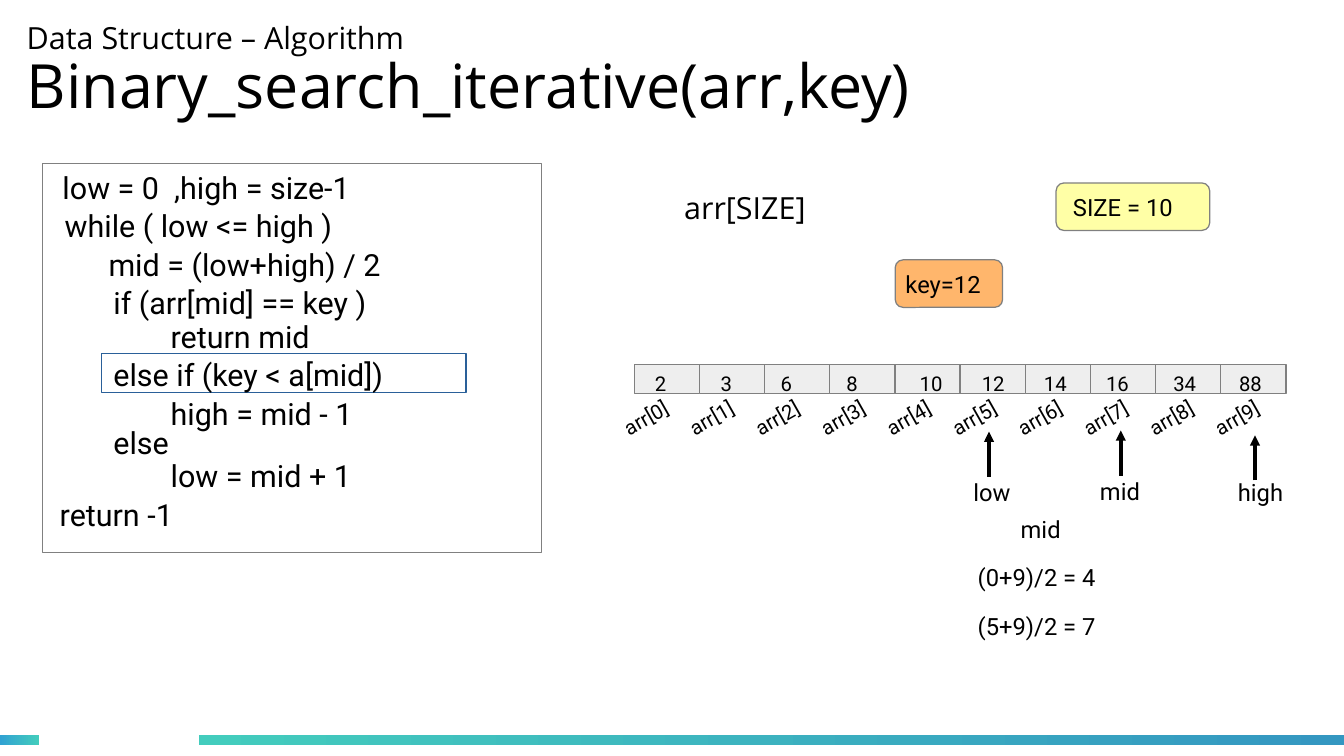
"""Build the slide that traces an iterative binary search."""
from lxml import etree
from pptx import Presentation
from pptx.dml.color import RGBColor
from pptx.enum.shapes import MSO_CONNECTOR, MSO_SHAPE as SHAPE
from pptx.enum.text import MSO_ANCHOR as ANCHOR, PP_ALIGN as ALIGN
from pptx.oxml.ns import qn
from pptx.util import Pt

rgb = RGBColor.from_string


def add_box(x, y, w, h, fill, line=None, kind=SHAPE.RECTANGLE):
    sp = s.shapes.add_shape(kind, Pt(x), Pt(y), Pt(w), Pt(h))
    sp.shadow.inherit = False
    if isinstance(fill, tuple):
        sp.fill.gradient()
        sp.fill.gradient_angle = 0
        for stop, color in zip(sp.fill.gradient_stops, fill):
            stop.color.rgb = rgb(color)
    else:
        sp.fill.solid()
        sp.fill.fore_color.rgb = rgb(fill)
    if line:
        sp.line.color.rgb = rgb(line)
        sp.line.width = Pt(0)
    else:
        sp.line.fill.background()
    return sp


def add_text(text, x=0, y=0, w=200, h=24, size=18, font="Roboto", align=ALIGN.LEFT,
             anchor=ANCHOR.TOP, sp=None, inset=0, spacing=None):
    sp = sp or s.shapes.add_textbox(Pt(x), Pt(y), Pt(w), Pt(h))
    tf = sp.text_frame
    tf.word_wrap = True
    tf.vertical_anchor = anchor
    tf.margin_left = Pt(inset)
    tf.margin_top = tf.margin_right = tf.margin_bottom = 0
    tf.text = text
    for p in tf.paragraphs:
        p.alignment = align
        p.line_spacing = spacing
        p.font.size = Pt(size)
        p.font.name = font
        p.font.color.rgb = rgb("000000")
    return sp


prs = Presentation()
prs.slide_width, prs.slide_height = Pt(793.44), Pt(446.4)
s = prs.slides.add_slide(prs.slide_layouts[6])

add_box(0, 434.2, 23, 5.8, ("30A2D2", "43CCBD"))
add_box(117.4, 434.2, 676, 5.8, ("43CCBD", "3497C1"))

title = add_text("Data Structure – Algorithm\nBinary_search_iterative(arr,key)",
                 15.8, 0, 749.5, 85.7, size=36, font="Open Sans",
                 anchor=ANCHOR.MIDDLE, spacing=0.9)
title.text_frame.paragraphs[0].font.size = Pt(18)

add_box(25.2, 96.5, 294.5, 229.7, "FFFFFF", "808080")
add_box(59.8, 208.8, 215.3, 23, "FFFFFF", "2A6099")
code = [
    ("low = 0  ,high = size-1", 36.9, 100.1),
    ("while ( low <= high )", 38.2, 122.4),
    ("mid = (low+high) / 2", 64.1, 145.4),
    ("if (arr[mid] == key )", 67, 167.8),
    ("return mid", 100.8, 187.9),
    ("else if (key < a[mid])", 67, 210.2),
    ("high = mid - 1", 100.8, 233.3),
    ("else", 67, 250.6),
    ("low = mid + 1", 100.8, 270),
    ("return -1", 35.3, 293),
]
for line, x, y in code:
    add_text(line, x, y)

add_text("arr[SIZE]", 403.9, 111.6, 100, font="Open Sans")
badges = [
    ("SIZE = 10", 623.5, 108, 90.7, "FFFFA6", 8.6),
    ("key=12", 528.5, 153.4, 63.4, "FFB66C", 4.7),
]
for label, x, y, w, fill, inset in badges:
    badge = add_box(x, y, w, 28.1, fill, "808080", SHAPE.ROUNDED_RECTANGLE)
    add_text(label, sp=badge, size=14, anchor=ANCHOR.MIDDLE, inset=inset)

cell_w = 38.48
values = [(2, 12.2), (3, 12.6), (6, 9.5), (8, 9.9), (10, 14.6),
          (12, 12.8), (14, 11), (16, 9.2), (34, 10.4), (88, 10.8)]
for i, (value, indent) in enumerate(values):
    x = 374.4 + i * cell_w
    cell = add_box(x, 215.3, cell_w, 17.3, "EEEEEE", "808080")
    add_text(str(value), sp=cell, size=12, inset=indent, anchor=ANCHOR.MIDDLE)
    cell.text_frame.margin_top = Pt(5)
    index = add_text(f"arr[{i}]", 356.2 + i * 38.77, 237, 50, 19, size=12,
                     align=ALIGN.CENTER, anchor=ANCHOR.MIDDLE)
    index.rotation = 330.4

pointers = [
    ("low", 574.6, 282.2, 583.9, 281.5),
    ("mid", 649.4, 281.5, 661.7, 280.8),
    ("high", 730.8, 282.2, 740.9, 283.7),
]
for label, x, y, arrow_x, arrow_y in pointers:
    add_text(label, x, y, 40, 18, size=14)
    arrow = s.shapes.add_connector(MSO_CONNECTOR.STRAIGHT, Pt(arrow_x), Pt(arrow_y),
                                   Pt(arrow_x), Pt(arrow_y - 26.6))
    arrow.line.color.rgb = rgb("000000")
    arrow.line.width = Pt(0)
    etree.SubElement(arrow.line._get_or_add_ln(), qn("a:tailEnd"), type="triangle")
    etree.SubElement(arrow._element.spPr, qn("a:effectLst"))

steps = [("mid", 602.6), ("(0+9)/2 = 4", 577.2), ("(5+9)/2 = 7", 577.2)]
for i, (step, x) in enumerate(steps):
    add_text(step, x, 303.8 + i * 28.8, 100, 18, size=14)

prs.save("out.pptx")
